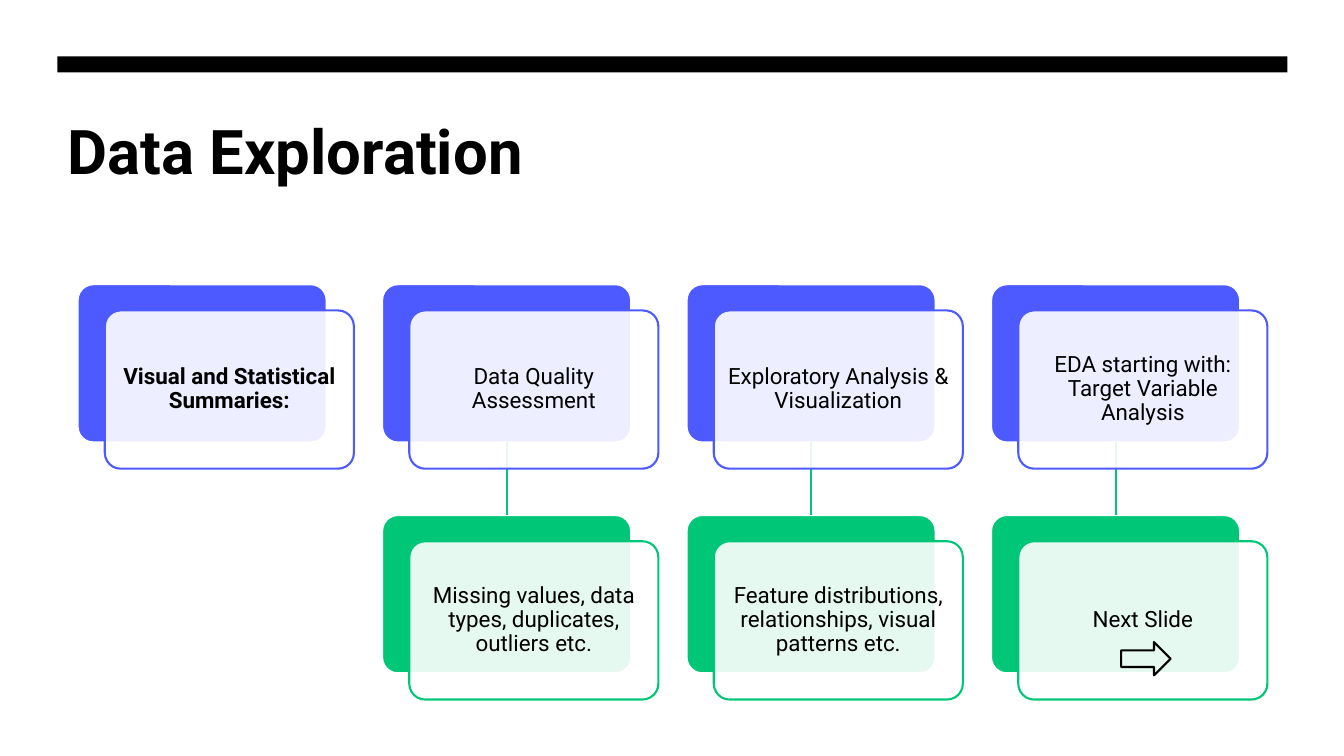
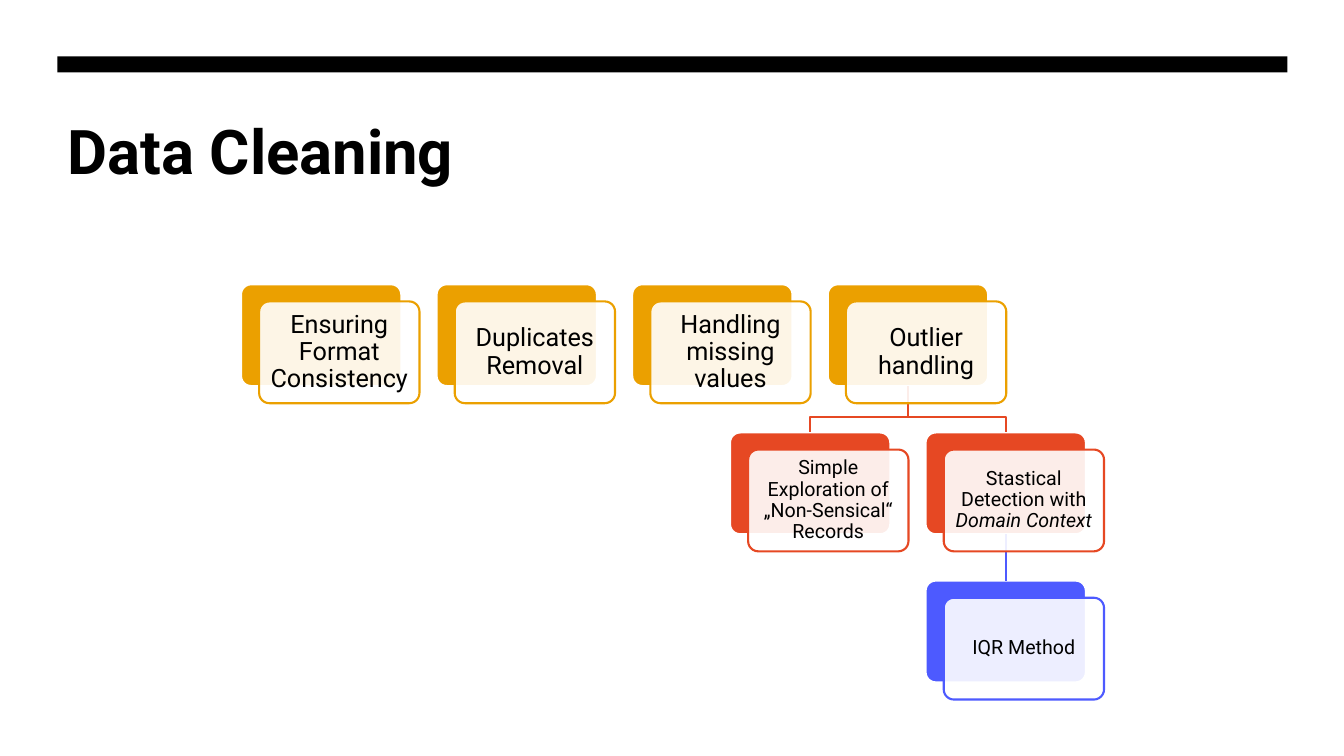
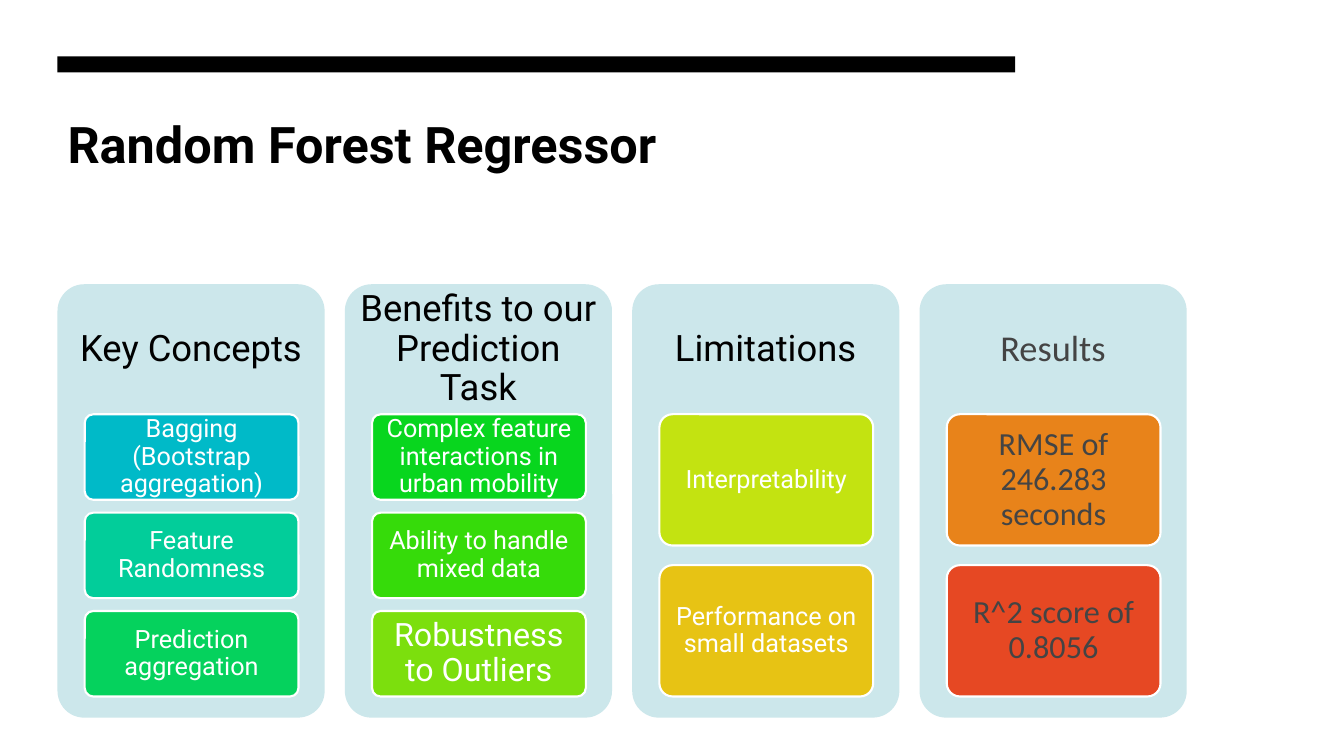
from dataclasses import dataclass

from lxml.etree import SubElement
from pptx import Presentation
from pptx.dml.color import RGBColor
from pptx.enum.shapes import MSO_CONNECTOR as Connector, MSO_SHAPE as Shape
from pptx.enum.text import MSO_ANCHOR as Anchor, MSO_AUTO_SIZE as AutoSize, PP_ALIGN as Align
from pptx.oxml.ns import qn
from pptx.util import Inches, Pt


@dataclass(frozen=True)
class Theme:
    font: str = "Roboto"
    result_font: str = "Calibri"
    black: str = "000000"
    white: str = "FFFFFF"
    grey: str = "444444"
    blue: str = "4D5AFF"
    green: str = "00C777"
    amber: str = "EBA000"
    red: str = "E64823"
    panel: str = "CCE7EB"
    tiles: tuple = ("00BAC8", "02CD9A", "05D25D", "08D61E", "36DB0A",
                    "7CDF0D", "C3E311", "E7C314", "E8831A", "E64823")
    title: int = 44
    title_small: int = 36
    heading: int = 26
    tile_large: int = 23
    body: int = 18
    card: int = 16
    detail: int = 14
    line: float = 1.5
    left: float = 0.57
    content_top: float = 2.82


THEME = Theme()


@dataclass(frozen=True)
class Card:
    column: float
    row: int
    text: str
    color: str
    size: int = THEME.card
    bold: bool = False
    emphasis: str = ""


@dataclass(frozen=True)
class Grid:
    left: float
    pitch_x: float
    pitch_y: float
    width: float
    height: float
    shift_x: float
    shift_y: float

    def box(self, card):
        return (self.left + card.column * self.pitch_x,
                THEME.content_top + card.row * self.pitch_y,
                self.width, self.height)

    def front_box(self, card):
        x, y, width, height = self.box(card)
        return x + self.shift_x, y + self.shift_y, width, height


class Deck:
    def __init__(self, theme):
        self.theme = theme
        self.prs = Presentation()
        self.prs.slide_width = Inches(13.33)
        self.prs.slide_height = Inches(7.5)
        self.slide = None

    def start(self, heading, size, width):
        theme = self.theme
        self.slide = self.prs.slides.add_slide(self.prs.slide_layouts[5])
        self.shape(Shape.RECTANGLE, (theme.left, 0.56, width, 0.16), theme.black)
        title = self.slide.shapes.title
        title.left, title.top, title.width, title.height = map(
            Inches, (theme.left, 1.07, width, 1.6))
        self.set_text(title.text_frame, heading, size, bold=True, anchor=Anchor.TOP,
                      align=Align.LEFT, inset=(0.1, 0.05), spacing=1.0)

    def shape(self, kind, box, fill=None, line=None, alpha=None):
        shape = self.slide.shapes.add_shape(kind, *map(Inches, box))
        shape.shadow.inherit = False
        if kind == Shape.ROUNDED_RECTANGLE:
            shape.adjustments[0] = 0.1
        if fill:
            shape.fill.solid()
            shape.fill.fore_color.rgb = RGBColor.from_string(fill)
        else:
            shape.fill.background()
        if alpha:
            color = shape.element.spPr.find(qn("a:solidFill")).find(qn("a:srgbClr"))
            SubElement(color, qn("a:alpha")).set("val", str(alpha * 1000))
        self.outline(shape, line)
        return shape

    def outline(self, shape, color):
        if color:
            shape.line.color.rgb = RGBColor.from_string(color)
            shape.line.width = Pt(self.theme.line)
        else:
            shape.line.fill.background()

    def set_text(self, frame, text, size, color=None, font=None, bold=False, emphasis="",
                 anchor=Anchor.MIDDLE, align=Align.CENTER, inset=(0.06, 0.06), spacing=0.9):
        frame.word_wrap = True
        frame.auto_size = AutoSize.NONE
        frame.vertical_anchor = anchor
        frame.margin_left = frame.margin_right = Inches(inset[0])
        frame.margin_top = frame.margin_bottom = Inches(inset[1])
        paragraph = frame.paragraphs[0]
        paragraph.text = text
        paragraph.alignment = align
        paragraph.line_spacing = spacing
        if emphasis:
            stressed = paragraph.add_run()
            stressed.text = emphasis
            stressed.font.italic = True
        for run in paragraph.runs:
            run.font.name = font or self.theme.font
            run.font.size = Pt(size)
            run.font.bold = bold
            run.font.color.rgb = RGBColor.from_string(color or self.theme.black)

    def straight_link(self, parent, child, color):
        link = self.slide.shapes.add_connector(Connector.STRAIGHT, 0, 0, 0, 0)
        link.begin_connect(parent, 2)
        link.end_connect(child, 0)
        self.outline(link, color)
        SubElement(link.element.spPr, qn("a:effectLst"))

    def branch(self, parent, child, color):
        x1, y1 = parent.left + parent.width // 2, parent.top + parent.height
        x2, y2 = child.left + child.width // 2, child.top
        bend = y1 + (y2 - y1) * 2 // 3
        builder = self.slide.shapes.build_freeform(x1, y1)
        builder.add_line_segments([(x1, bend), (x2, bend), (x2, y2)], close=False)
        elbow = builder.convert_to_shape()
        elbow.shadow.inherit = False
        elbow.fill.background()
        self.outline(elbow, color)

    def hierarchy(self, grid, cards, links):
        white = self.theme.white
        backs = [self.shape(Shape.ROUNDED_RECTANGLE, grid.box(card), card.color, white)
                 for card in cards]
        for parent, child in links:
            same_column = cards[parent].column == cards[child].column
            connect = self.straight_link if same_column else self.branch
            connect(backs[parent], backs[child], cards[child].color)
        for card in cards:
            front = self.shape(Shape.ROUNDED_RECTANGLE, grid.front_box(card),
                               white, card.color, alpha=90)
            self.set_text(front.text_frame, card.text, card.size, bold=card.bold,
                          emphasis=card.emphasis)

    def panel(self, x, heading, tiles, colors, text_color, heading_color, font):
        theme = self.theme
        top, width = theme.content_top, 2.65
        self.shape(Shape.ROUNDED_RECTANGLE, (x, top, width, 4.3), theme.panel)
        header = self.slide.shapes.add_textbox(*map(Inches, (x, top, width, 1.29)))
        self.set_text(header.text_frame, heading, theme.heading, heading_color, font,
                      inset=(0.11, 0.11))
        gap_ratio = 0.15
        height = 2.8 / (len(tiles) + (len(tiles) - 1) * gap_ratio)
        for index, ((text, size), color) in enumerate(zip(tiles, colors)):
            y = top + 1.29 + index * height * (1 + gap_ratio)
            tile = self.shape(Shape.ROUNDED_RECTANGLE, (x + 0.27, y, 2.12, height),
                              color, theme.white)
            self.set_text(tile.text_frame, text, size, text_color, font, inset=(0.05, 0.04))


def exploration(deck):
    theme = deck.theme
    deck.start("Data Exploration", theme.title, 12.2)
    topics = [
        ("Visual and Statistical Summaries:", None),
        ("Data Quality Assessment", "Missing values, data types, duplicates, outliers etc."),
        ("Exploratory Analysis & Visualization",
         "Feature distributions, relationships, visual patterns etc."),
        ("EDA starting with: Target Variable Analysis", "Next Slide"),
    ]
    cards, links = [], []
    for column, (topic, detail) in enumerate(topics):
        cards.append(Card(column, 0, topic, theme.blue, bold=column == 0))
        if detail:
            links.append((len(cards) - 1, len(cards)))
            cards.append(Card(column, 1, detail, theme.green))
    deck.hierarchy(Grid(0.77, 3.02, 2.29, 2.47, 1.57, 0.27, 0.26), cards, links)
    deck.shape(Shape.RIGHT_ARROW, (11.12, 6.37, 0.49, 0.33), line=theme.black)


def cleaning(deck):
    theme = deck.theme
    deck.start("Data Cleaning", theme.title, 12.2)
    steps = ["Ensuring Format Consistency", "Duplicates Removal",
             "Handling missing values", "Outlier handling"]
    cards = [Card(column, 0, step, theme.amber, theme.body)
             for column, step in enumerate(steps)]
    cards += [
        Card(2.5, 1, "Simple Exploration of „Non-Sensical“ Records", theme.red, theme.detail),
        Card(3.5, 1, "Stastical Detection with ", theme.red, theme.detail,
             emphasis="Domain Context"),
        Card(3.5, 2, "IQR Method", theme.blue, theme.detail),
    ]
    deck.hierarchy(Grid(2.39, 1.94, 1.47, 1.59, 1.01, 0.18, 0.17), cards,
                   [(3, 4), (3, 5), (5, 6)])


def regressor(deck):
    theme = deck.theme
    body, large = theme.body, theme.tile_large
    deck.start("Random Forest Regressor", theme.title_small, 9.5)
    standard = (theme.white, theme.black, theme.font)
    result = (theme.grey, theme.grey, theme.result_font)
    panels = [
        ("Key Concepts", [("Bagging (Bootstrap aggregation)", body),
                          ("Feature Randomness", body),
                          ("Prediction aggregation", body)], standard),
        ("Benefits to our Prediction Task",
         [("Complex feature interactions in urban mobility", body),
          ("Ability to handle mixed data", body),
          ("Robustness to Outliers", large)], standard),
        ("Limitations", [("Interpretability", body),
                         ("Performance on small datasets", body)], standard),
        ("Results", [("RMSE of 246.283 seconds", large),
                     ("R^2 score of 0.8056", large)], result),
    ]
    colors = iter(theme.tiles)
    for index, (heading, tiles, style) in enumerate(panels):
        tile_colors = [next(colors) for _ in tiles]
        deck.panel(theme.left + index * 2.85, heading, tiles, tile_colors, *style)


def main():
    deck = Deck(THEME)
    for build in (exploration, cleaning, regressor):
        build(deck)
    deck.prs.save("out.pptx")


if __name__ == "__main__":
    main()
